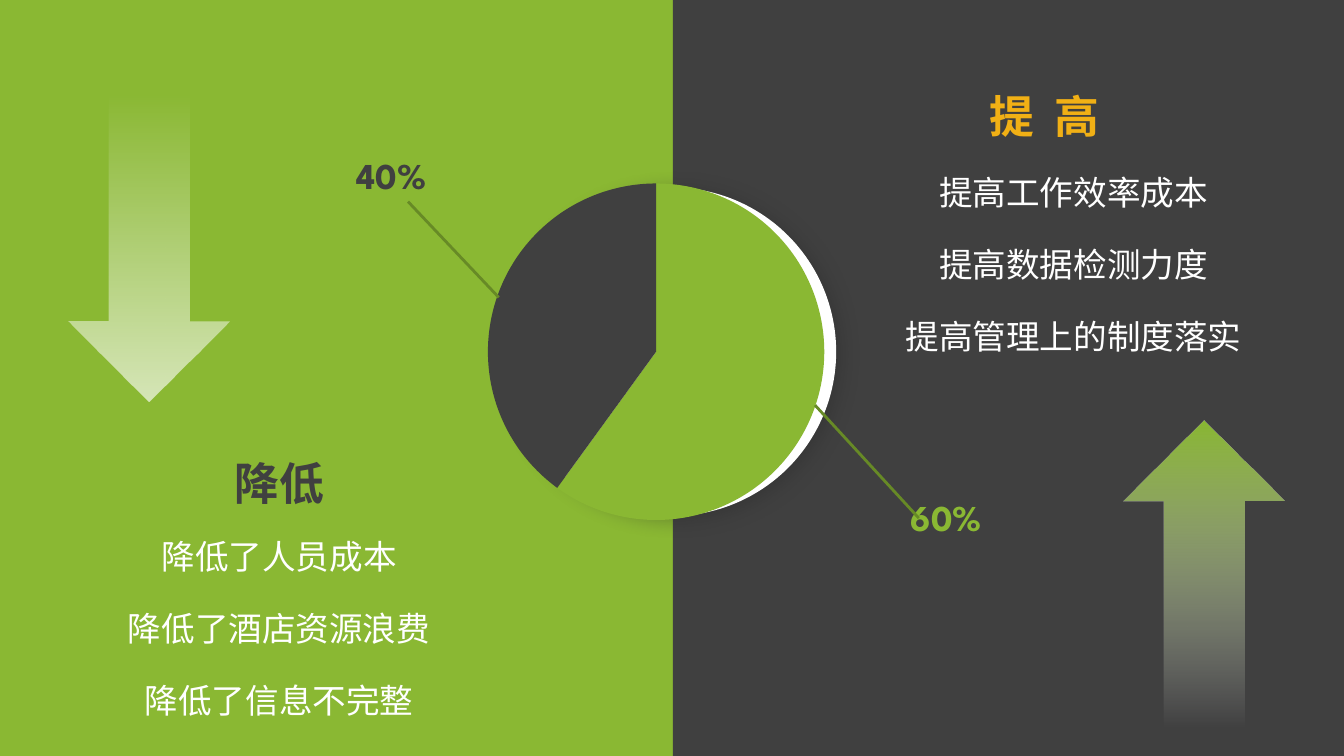
from lxml import etree
from pptx import Presentation
from pptx.chart.data import CategoryChartData
from pptx.dml.color import RGBColor
from pptx.enum.chart import XL_CHART_TYPE, XL_LABEL_POSITION
from pptx.enum.shapes import MSO_CONNECTOR, MSO_SHAPE
from pptx.enum.text import PP_ALIGN
from pptx.oxml import parse_xml
from pptx.oxml.ns import nsdecls, qn
from pptx.util import Inches, Pt

PIE, OUTER = XL_CHART_TYPE.PIE, XL_LABEL_POSITION.OUTSIDE_END
LINE = MSO_CONNECTOR.STRAIGHT
RECT, OVAL, ARROW = MSO_SHAPE.RECTANGLE, MSO_SHAPE.OVAL, MSO_SHAPE.UP_ARROW
CENTER = PP_ALIGN.CENTER
GREEN, DARK, WHITE, GOLD, OLIVE = "8AB833", "404040", "FFFFFF", "F1B015", "678A26"
LATIN, HAN = "League Spartan", "Noto Sans CJK SC"
WIDE, HIGH = 13.34, 7.5


def color(code):
    """Turn a hex string into a colour."""
    return RGBColor.from_string(code)


def place(box):
    """Turn a box in inches into lengths."""
    return [Inches(v) for v in box]


def add_form(slide, kind, box, fill):
    """Add a flat preset shape."""
    form = slide.shapes.add_shape(kind, *place(box))
    form.shadow.inherit = False
    form.fill.solid()
    form.fill.fore_color.rgb = color(fill)
    form.line.fill.background()
    return form


def add_text(slide, box, lines, size, tone, face=HAN, bold=False, pitch=None):
    """Add a centred text box with one paragraph per line."""
    frame = slide.shapes.add_textbox(*place(box)).text_frame
    frame.word_wrap = True
    frame.margin_left = frame.margin_right = Inches(0.13)
    frame.margin_top = frame.margin_bottom = Inches(0.07)
    for i, line in enumerate(lines):
        para = frame.paragraphs[0] if i == 0 else frame.add_paragraph()
        para.text = line
        para.alignment = CENTER
        if pitch:
            para.line_spacing = Pt(pitch)
            if i:
                para.space_before = Pt(8)
        font = para.font
        font.size, font.bold, font.name = Pt(size), bold, face
        font.color.rgb = color(tone)
        east = etree.SubElement(para._p.pPr.find(qn("a:defRPr")), qn("a:ea"))
        east.set("typeface", HAN)
    return frame


def add_arrow(slide, box, tone, alpha, turn=0):
    """Add an arrow that fades out toward its tail."""
    form = add_form(slide, ARROW, box, tone)
    form.rotation = turn
    stops = "".join(
        f'<a:gs pos="{pos}"><a:srgbClr val="{code}"><a:alpha val="{part}000"/></a:srgbClr></a:gs>'
        for pos, code, part in ((0, tone, alpha), (100000, WHITE, 0)))
    fade = parse_xml(f'<a:gradFill {nsdecls("a")} rotWithShape="1"><a:gsLst>{stops}</a:gsLst>'
                     '<a:lin ang="5400000" scaled="0"/></a:gradFill>')
    props = form._element.spPr
    props.replace(props.find(qn("a:solidFill")), fade)


def add_disc(slide, box):
    """Add the white disc with a soft shadow."""
    disc = add_form(slide, OVAL, box, WHITE)
    disc._element.spPr.find(qn("a:effectLst")).append(parse_xml(
        f'<a:outerShdw {nsdecls("a")} blurRad="{Pt(15)}" dist="{Pt(3)}" dir="2400000">'
        '<a:srgbClr val="262626"><a:alpha val="40000"/></a:srgbClr></a:outerShdw>'))


def make_layout(**parts):
    """Make a manual chart layout."""
    sides = "".join(f'<c:{key} val="{val}"/>' for key, val in parts.items())
    return parse_xml(
        f'<c:layout {nsdecls("c")}><c:manualLayout>{sides}</c:manualLayout></c:layout>')


def add_pie(slide, box):
    """Add the pie chart of the two shares with its moved labels."""
    data = CategoryChartData(number_format="0%")
    data.categories = ["1", "2"]
    data.add_series("Series 1", (0.6, 0.4))
    chart = slide.shapes.add_chart(PIE, *place(box), data).chart
    chart.has_legend = chart.has_title = False
    chart.font.name, chart.font.size = LATIN, Pt(18)
    chart.font.color.rgb = color(DARK)
    plot = chart.plots[0]
    plot.vary_by_categories = True
    series = plot.series[0]
    for i, (tone, right, down) in enumerate(((GREEN, 0.14, 0.27), (DARK, -0.1, -0.28))):
        point = series.points[i]
        look = point.format
        look.fill.solid()
        look.fill.fore_color.rgb = color(tone)
        look.line.fill.background()
        label = point.data_label
        label.position = OUTER
        label.font.name, label.font.size, label.font.bold = LATIN, Pt(26), True
        label.font.color.rgb = color(tone)
        mark = series._element.findall(".//" + qn("c:dLbl"))[i]
        mark.insert(1, make_layout(x=right, y=down))
    for lead in series._element.iter(qn("c:showLeaderLines")):
        lead.set("val", "0")
    area = chart._chartSpace.chart.plotArea
    for old in area.findall(qn("c:layout")):
        area.remove(old)
    area.insert(0, make_layout(layoutTarget="inner", xMode="edge", yMode="edge",
                               x=0.21, y=0.05, w=0.53, h=0.9))


def add_lead(slide, ends):
    """Add a leader line from the pie to a label."""
    line = slide.shapes.add_connector(LINE, *place(ends))
    line.line.color.rgb = color(OLIVE)
    line.line.width = Pt(2)
    etree.SubElement(line._element.spPr, qn("a:effectLst"))


def add_panel(slide, box, title, lines, tone, inset=0):
    """Add a heading above a list and return the heading frame."""
    left, top, width, drop = box
    add_text(slide, (left, top + drop, width, 2.17), lines, 24, WHITE, pitch=43.5)
    return add_text(slide, (left + inset, top, width - 2 * inset, 0.67),
                    [title], 32, tone, LATIN, True)


def build(slide):
    """Place every part of the slide."""
    slide.background.fill.solid()
    slide.background.fill.fore_color.rgb = color(GREEN)
    add_form(slide, RECT, (6.68, 0, WIDE - 6.68, HIGH), DARK)
    add_arrow(slide, (11.15, 4.17, 1.6, 3.06), GREEN, 100)
    add_arrow(slide, (0.68, 0.92, 1.6, 3.06), WHITE, 66, 180)
    add_disc(slide, (5.04, 1.86, 3.26, 3.26))
    add_pie(slide, (3.52, 1.62, 6.3, 3.74))
    add_lead(slide, (4.05, 2, 4.95, 2.95))
    add_lead(slide, (8.09, 4.02, 9.12, 5.14))
    add_panel(slide, (0.45, 4.45, 4.64, 0.59), "降低",
              ["降低了人员成本", "降低了酒店资源浪费", "降低了信息不完整"], DARK, 0.23)
    head = add_panel(slide, (8.66, 0.81, 3.99, 0.62), "提 高",
                     ["提高工作效率成本", "提高数据检测力度", "提高管理上的制度落实"], GOLD)
    head.margin_right = Inches(0.7)
    head.paragraphs[0].runs[0]._r.get_or_add_rPr().set("spc", "350")


def main():
    """Build and save the deck."""
    deck = Presentation()
    deck.slide_width, deck.slide_height = Inches(WIDE), Inches(HIGH)
    build(deck.slides.add_slide(deck.slide_layouts[6]))
    deck.save("out.pptx")


if __name__ == "__main__":
    main()
